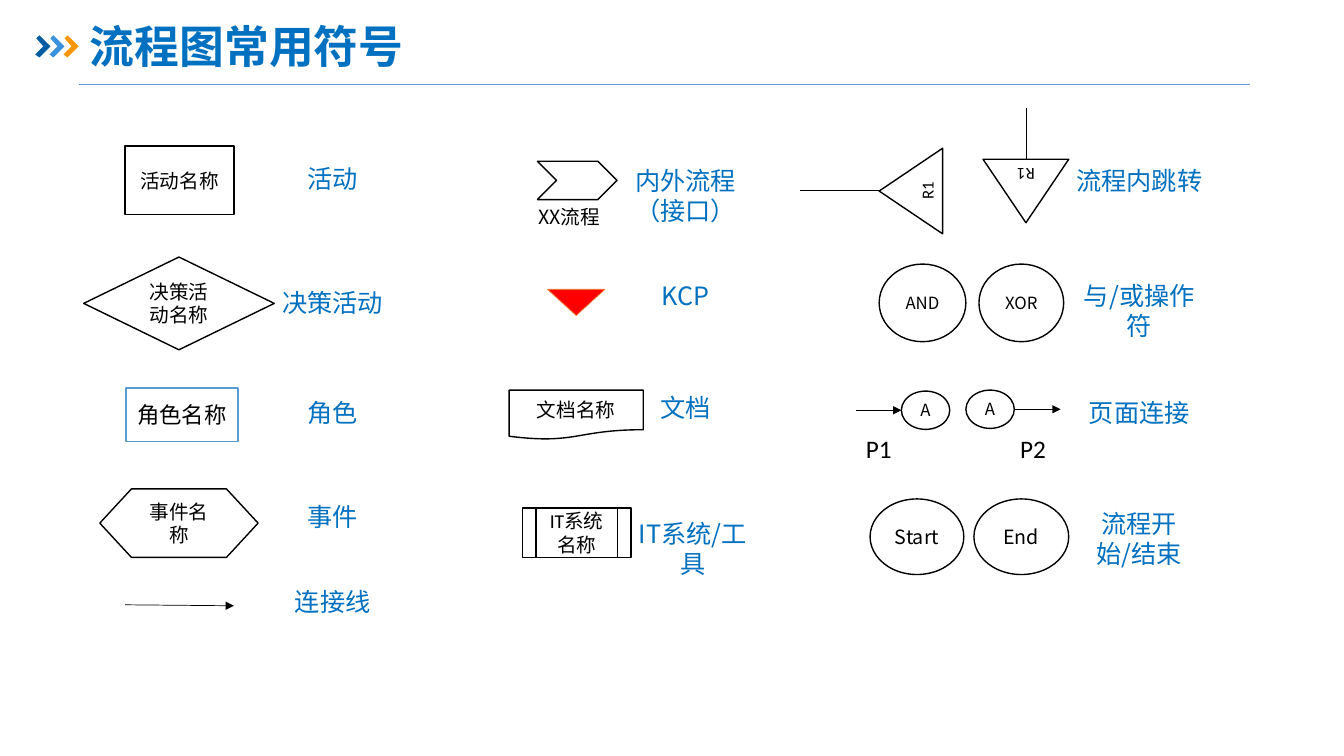
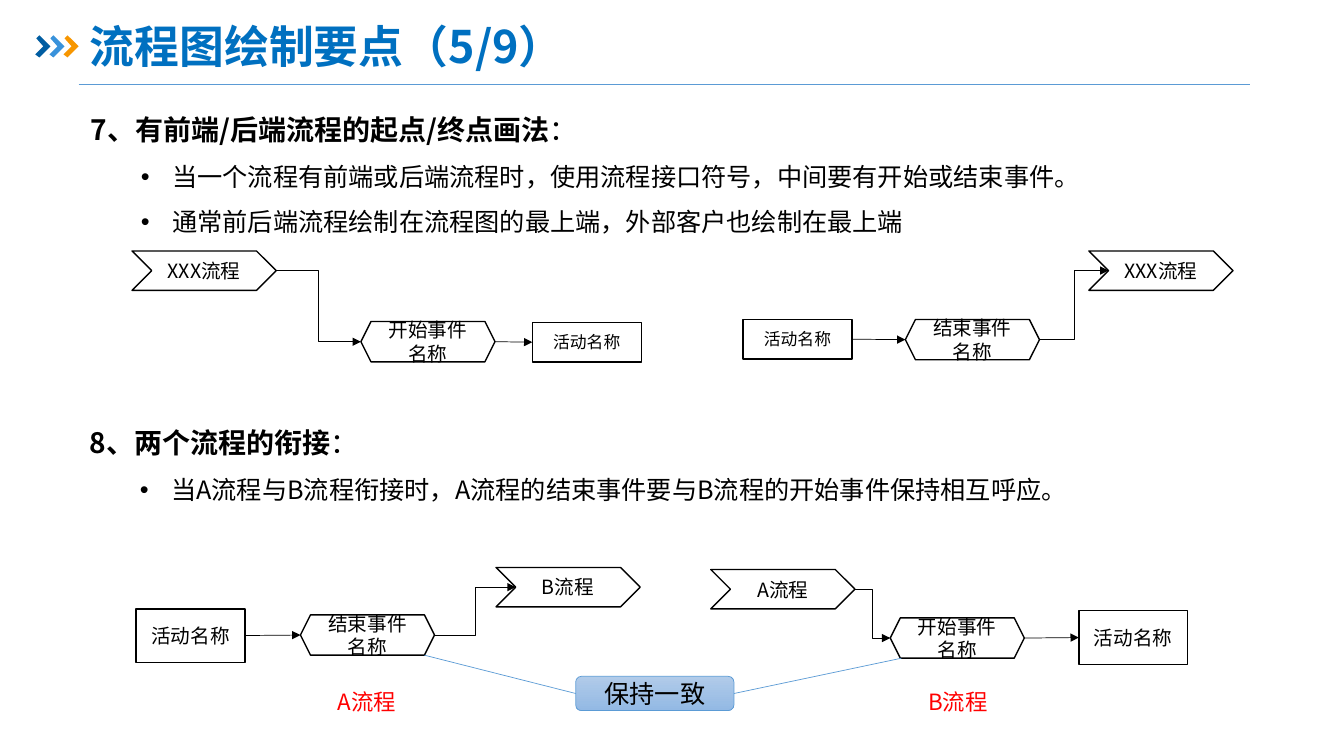
from lxml.etree import SubElement
from pptx import Presentation
from pptx.dml.color import RGBColor
from pptx.enum.shapes import MSO_CONNECTOR, MSO_SHAPE
from pptx.enum.text import MSO_ANCHOR, PP_ALIGN
from pptx.oxml.ns import qn
from pptx.util import Inches, Pt

FONT = "Noto Sans CJK SC"
LATIN_FONT = "Calibri"
BLACK = RGBColor(0x00, 0x00, 0x00)
WHITE = RGBColor(0xFF, 0xFF, 0xFF)
RED = RGBColor(0xFF, 0x00, 0x00)
ORANGE = RGBColor(0xED, 0x7D, 0x31)
BLUE = RGBColor(0x00, 0x70, 0xC0)
LINE_BLUE = RGBColor(0x5B, 0x9B, 0xD5)
GRADIENT = [RGBColor(0xB1, 0xCB, 0xE9), RGBColor(0x93, 0xB9, 0xE4)]
MARKS = [RGBColor(0x00, 0x5D, 0xA2), RGBColor(0x39, 0x92, 0xDB), RGBColor(0xF7, 0x96, 0x00)]


def add_box(s, kind, x, y, w, h, text="", size=14, color=BLACK, align=PP_ALIGN.CENTER):
    box = [Inches(v) for v in (x, y, w, h)]
    if kind is None:
        sp = s.shapes.add_textbox(*box)
    else:
        sp = s.shapes.add_shape(kind, *box)
        sp.shadow.inherit = False
        sp.fill.solid()
        sp.fill.fore_color.rgb = WHITE
        sp.line.color.rgb = BLACK
        sp.line.width = Pt(1)
        sp.text_frame.vertical_anchor = MSO_ANCHOR.MIDDLE
    tf = sp.text_frame
    tf.word_wrap = True
    if text:
        p = tf.paragraphs[0]
        p.text = text
        p.alignment = align
        p.font.size = Pt(size)
        p.font.color.rgb = color
    return sp


def add_link(s, start, end, kind=MSO_CONNECTOR.STRAIGHT, color=BLACK, arrow=True):
    c = s.shapes.add_connector(kind, *[Inches(v) for v in (*start, *end)])
    c.line.color.rgb = color
    c.line.width = Pt(0.5)
    props = c.element.find(qn("p:spPr"))
    if arrow:
        SubElement(props.find(qn("a:ln")), qn("a:tailEnd"), type="triangle")
    SubElement(props, qn("a:effectLst"))
    return c


prs = Presentation()
prs.slide_width = Inches(13.33)
prs.slide_height = Inches(7.5)
layout = prs.slide_layouts[5]
title = layout.placeholders[0]
title.left, title.top, title.width, title.height = [Inches(v) for v in (0.79, 0.19, 11.5, 0.59)]

for name in ["流程图常用符号", "流程图绘制要点（5/9）"]:
    s = prs.slides.add_slide(layout)
    tf = s.shapes.title.text_frame
    tf.text = name
    tf.vertical_anchor = MSO_ANCHOR.MIDDLE
    p = tf.paragraphs[0]
    p.alignment = PP_ALIGN.LEFT
    p.line_spacing = 0.9
    p.font.size = Pt(32)
    p.font.bold = True
    p.font.color.rgb = BLUE

symbols, rules = prs.slides

s = symbols
shared = [add_link(s, (0.78, 0.84), (12.4, 0.84), color=LINE_BLUE, arrow=False)]
outline = [(0.36, 0.38), (0.39, 0.35), (0.5, 0.46), (0.39, 0.57), (0.35, 0.54), (0.43, 0.46)]
for i, color in enumerate(MARKS):
    points = [(Inches(x + 0.14 * i), Inches(y)) for x, y in outline]
    builder = s.shapes.build_freeform(*points[0], scale=1.0)
    builder.add_line_segments(points[1:], close=True)
    sp = builder.convert_to_shape()
    sp.shadow.inherit = False
    sp.fill.solid()
    sp.fill.fore_color.rgb = color
    sp.line.fill.background()
    shared.append(sp)
for sp in shared:
    layout.shapes.element.append(sp.element)

for kind, x, y, w, h, text, size in [
    (MSO_SHAPE.FLOWCHART_PROCESS, 1.24, 1.45, 1.08, 0.68, "活动名称", 14),
    (MSO_SHAPE.FLOWCHART_DECISION, 0.83, 2.55, 1.89, 0.92, "决策活动名称", 14),
    (MSO_SHAPE.FLOWCHART_PREPARATION, 0.99, 4.85, 1.57, 0.68, "事件名称", 14),
    (MSO_SHAPE.CHEVRON, 5.33, 1.6, 0.79, 0.38, "", 14),
    (MSO_SHAPE.FLOWCHART_DOCUMENT, 5.05, 3.87, 1.33, 0.49, "文档名称", 14),
    (MSO_SHAPE.FLOWCHART_CONNECTOR, 8.72, 2.62, 0.86, 0.77, "AND", 12),
    (MSO_SHAPE.FLOWCHART_CONNECTOR, 9.71, 2.62, 0.84, 0.77, "XOR", 12),
    (MSO_SHAPE.FLOWCHART_CONNECTOR, 8.94, 3.88, 0.48, 0.38, "A", 12),
    (MSO_SHAPE.FLOWCHART_CONNECTOR, 9.58, 3.87, 0.48, 0.38, "A", 12),
    (MSO_SHAPE.OVAL, 8.63, 4.95, 0.93, 0.75, "Start", 14),
    (MSO_SHAPE.OVAL, 9.66, 4.95, 0.94, 0.75, "End", 14),
]:
    add_box(s, kind, x, y, w, h, text, size)

role = add_box(s, MSO_SHAPE.RECTANGLE, 1.25, 3.85, 1.11, 0.53, "角色名称", 16)
role.line.color.rgb = LINE_BLUE

kcp = add_box(s, MSO_SHAPE.FLOWCHART_EXTRACT, 5.43, 2.87, 0.57, 0.26)
kcp.rotation = 180
kcp.fill.fore_color.rgb = RED
kcp.line.color.rgb = ORANGE
kcp.line.width = Pt(0.5)

system = add_box(s, MSO_SHAPE.FLOWCHART_PREDEFINED_PROCESS, 5.18, 5.04, 1.08, 0.49, "IT系统名称")
system.text_frame.paragraphs[0].font.name = LATIN_FONT

for x, angle in [(8.61, 270), (9.75, 180)]:
    jump = add_box(s, MSO_SHAPE.FLOWCHART_EXTRACT, x, 1.58, 0.85, 0.63, "R1", 12)
    jump.rotation = angle
    jump.text_frame.paragraphs[0].font.name = LATIN_FONT

for x, text in [(8.49, "P1"), (10.02, "P2")]:
    page = add_box(s, None, x, 4.25, 0.59, 0.4, text, 18, align=PP_ALIGN.LEFT)
    page.text_frame.paragraphs[0].font.name = LATIN_FONT

add_box(s, None, 5.24, 1.98, 0.97, 0.34, "XX流程", align=PP_ALIGN.LEFT)

for start, end, arrow in [
    ((1.24, 6), (2.32, 6.01), True),
    ((8.49, 4.07), (8.94, 4.07), True),
    ((10.07, 4.06), (10.52, 4.06), True),
    ((7.93, 1.89), (8.72, 1.89), False),
    ((10.18, 1.07), (10.18, 1.58), False),
]:
    add_link(s, start, end, arrow=arrow)

for x, w, labels in [
    (2.56, 1.48, [(1.57, "活动"), (2.8, "决策活动"), (3.89, "角色"), (4.92, "事件"), (5.77, "连接线")]),
    (6.06, 1.48, [(1.59, "内外流程（接口）"), (2.73, "KCP"), (3.84, "文档")]),
    (6.2, 1.34, [(5.09, "IT系统/工具")]),
    (10.56, 1.48, [(1.59, "流程内跳转"), (2.73, "与/或操作符"), (3.89, "页面连接"), (4.99, "流程开始/结束")]),
]:
    for y, text in labels:
        add_box(s, None, x, y, w, 0.4, text, 18, BLUE)

s = rules
for x, y, h, heading, bullets in [
    (0.8, 0.9, 1.51, "7、有前端/后端流程的起点/终点画法", [
        "当一个流程有前端或后端流程时，使用流程接口符号，中间要有开始或结束事件。",
        "通常前后端流程绘制在流程图的最上端，外部客户也绘制在最上端",
    ]),
    (0.79, 4.01, 1.06, "8、两个流程的衔接", [
        "当A流程与B流程衔接时，A流程的结束事件要与B流程的开始事件保持相互呼应。",
    ]),
]:
    tf = add_box(s, None, x, y, 11.4, h, heading, 20, align=PP_ALIGN.LEFT).text_frame
    p = tf.paragraphs[0]
    p.line_spacing = 1.5
    p.font.bold = True
    r = p.add_run()
    r.text = "："
    r.font.bold = False
    for text in bullets:
        p = tf.add_paragraph()
        p.text = text
        p.level = 1
        p.line_spacing = 1.5
        props = p._p.get_or_add_pPr()
        props.set("marL", str(Inches(0.81)))
        props.set("indent", str(Inches(-0.31)))
        SubElement(props, qn("a:buFont"), typeface="Arial")
        SubElement(props, qn("a:buChar"), char="•")
        p.font.size = Pt(18)
        p.font.color.rgb = BLACK

ACT_W, EVENT_W, EVENT_H, FLOW_W, FLOW_H = 1.08, 1.33, 0.4, 1.43, 0.39
for starts, act_x, act_y, act_h, size, event_x, event_y, flow_x, flow_y, flow in [
    (True, 5.28, 3.2, 0.39, 12, 3.58, 3.19, 1.31, 2.49, "XXX流程"),
    (False, 7.37, 3.17, 0.39, 12, 8.98, 3.17, 10.8, 2.49, "XXX流程"),
    (False, 1.35, 6.04, 0.53, 14, 2.98, 6.1, 4.92, 5.63, "B流程"),
    (True, 10.7, 6.06, 0.53, 14, 8.83, 6.13, 7.05, 5.65, "A流程"),
]:
    event = "开始事件名称" if starts else "结束事件名称"
    act = add_box(s, MSO_SHAPE.FLOWCHART_PROCESS, act_x, act_y, ACT_W, act_h, "活动名称", size)
    add_box(s, MSO_SHAPE.HEXAGON, event_x, event_y, EVENT_W, EVENT_H, event)
    add_box(s, MSO_SHAPE.CHEVRON, flow_x, flow_y, FLOW_W, FLOW_H, flow)
    act_mid = act_y + act_h / 2
    flow_mid = flow_y + FLOW_H / 2
    event_left = (event_x, event_y + EVENT_H / 2)
    event_right = (event_x + EVENT_W, event_y + EVENT_H / 2)
    if starts:
        add_link(s, (flow_x + FLOW_W, flow_mid), event_left, MSO_CONNECTOR.ELBOW)
        add_link(s, event_right, (act_x, act_mid)).end_connect(act, 1)
    else:
        add_link(s, (act_x + ACT_W, act_mid), event_left).begin_connect(act, 3)
        add_link(s, event_right, (flow_x + FLOW_H / 2, flow_mid), MSO_CONNECTOR.ELBOW)

for x, text in [(2.53, "A流程"), (8.39, "B流程")]:
    add_box(s, None, x, 6.78, 2.22, 0.37, text, 16, RED)

match = add_box(s, MSO_SHAPE.ROUNDED_RECTANGLE, 5.71, 6.71, 1.57, 0.34, "保持一致", 18)
match.fill.gradient()
match.fill.gradient_angle = 270
for stop, color in zip(match.fill.gradient_stops, GRADIENT):
    stop.color.rgb = color
match.line.color.rgb = LINE_BLUE
match.line.width = Pt(0.5)
for x, site, end in [(5.71, 1, (4.21, 6.5)), (7.28, 3, (8.94, 6.53))]:
    c = add_link(s, (x, 6.88), end, color=LINE_BLUE, arrow=False)
    c.begin_connect(match, site)

for s in prs.slides:
    for sp in s.shapes:
        if sp.has_text_frame and sp.text_frame.text:
            for p in sp.text_frame.paragraphs:
                p.font.name = p.font.name or FONT
                font = p._p.get_or_add_pPr().find(qn("a:defRPr"))
                SubElement(font, qn("a:ea"), typeface=FONT)

prs.save("out.pptx")
